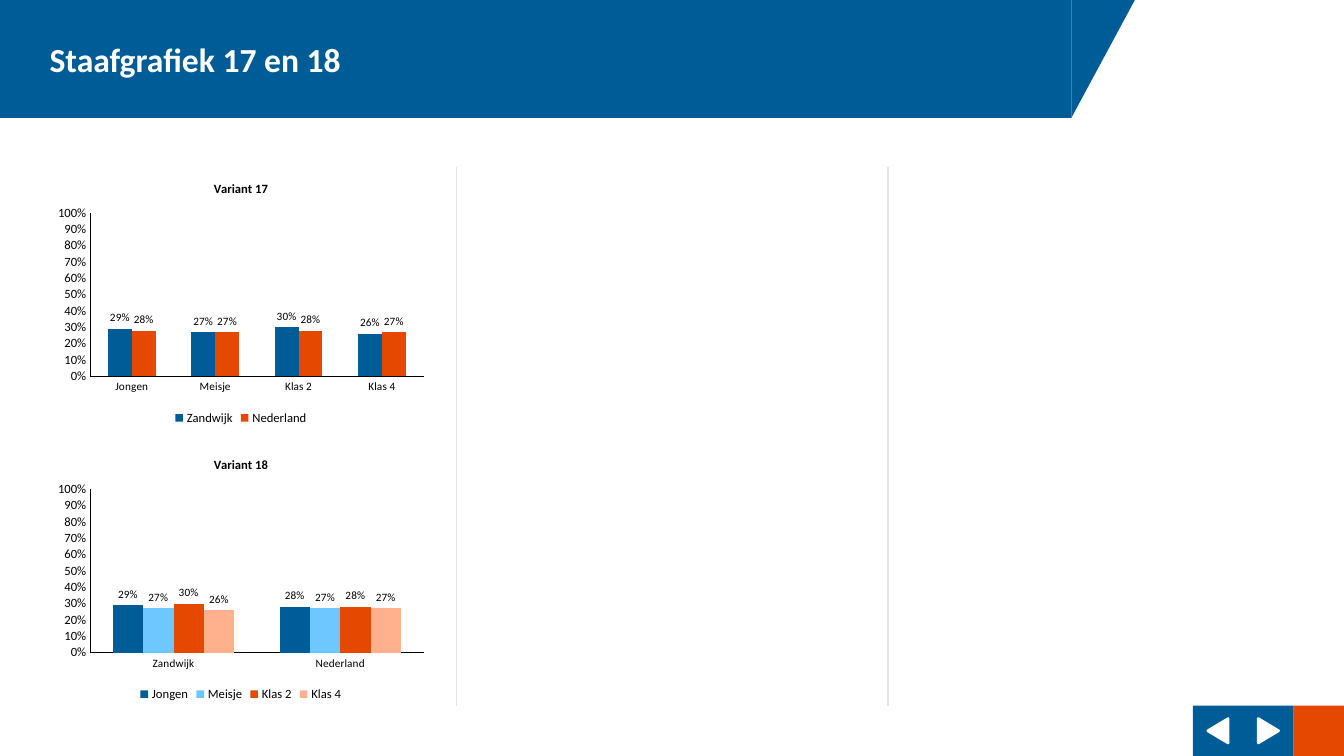
from dataclasses import dataclass

from lxml import etree
from pptx import Presentation
from pptx.chart.data import CategoryChartData
from pptx.dml.color import RGBColor
from pptx.enum.chart import XL_CHART_TYPE as ChartType
from pptx.enum.chart import XL_LABEL_POSITION as LabelPos
from pptx.enum.chart import XL_LEGEND_POSITION as LegendPos
from pptx.enum.chart import XL_TICK_MARK as TickMark
from pptx.enum.shapes import MSO_CONNECTOR as Connector
from pptx.enum.shapes import MSO_SHAPE as Shape
from pptx.enum.text import MSO_ANCHOR as Anchor
from pptx.enum.text import PP_ALIGN as Align
from pptx.oxml.ns import qn
from pptx.util import Cm, Pt

FONT = "Calibri"
BLUE, ORANGE = "005C96", "E54800"
LIGHT_BLUE, LIGHT_ORANGE = "6FC7FF", "FFB18E"
WHITE, BLACK, GREY = "FFFFFF", "000000", "E3E3E3"

# Page grid in cm
SLIDE_W, SLIDE_H = 33.87, 19.05
BODY_TOP, BODY_BOTTOM = 4.22, 17.78
HEADER_W, HEADER_H, SLANT_W = 27, 2.97, 1.6
CHART_LEFT, CHART_W, CHART_H = 1.27, 9.6, 6.6
BUTTON = 1.27
ARROW_W, ARROW_H = 0.61, 0.51


@dataclass
class Series:
    name: str
    values: list[float]
    color: str


@dataclass
class BarChart:
    title: str
    top: float
    categories: list[str]
    series: list[Series]


@dataclass
class Button:
    color: str
    arrow_rotation: int | None = None


CHARTS = [
    BarChart("Variant 17", BODY_TOP, ["Jongen", "Meisje", "Klas 2", "Klas 4"], [
        Series("Zandwijk", [0.29, 0.27, 0.30, 0.26], BLUE),
        Series("Nederland", [0.28, 0.27, 0.28, 0.27], ORANGE),
    ]),
    BarChart("Variant 18", BODY_BOTTOM - CHART_H, ["Zandwijk", "Nederland"], [
        Series("Jongen", [0.29, 0.28], BLUE),
        Series("Meisje", [0.27, 0.27], LIGHT_BLUE),
        Series("Klas 2", [0.30, 0.28], ORANGE),
        Series("Klas 4", [0.26, 0.27], LIGHT_ORANGE),
    ]),
]
BUTTONS = [Button(BLUE, 270), Button(BLUE, 90), Button(ORANGE)]
SEPARATORS = [22.38, 11.51]


def rgb(color: str) -> RGBColor:
    return RGBColor.from_string(color)


def set_font(font, size: float, color: str = BLACK, bold: bool = False) -> None:
    font.name, font.size, font.bold = FONT, Pt(size), bold
    font.color.rgb = rgb(color)


def add_block(slide, kind, left: float, top: float, width: float, height: float,
              color: str):
    sp = slide.shapes.add_shape(kind, Cm(left), Cm(top), Cm(width), Cm(height))
    sp.shadow.inherit = False
    sp.fill.solid()
    sp.fill.fore_color.rgb = rgb(color)
    sp.line.fill.background()
    return sp


def add_button(slide, button: Button, left: float) -> None:
    add_block(slide, Shape.RECTANGLE, left, BODY_BOTTOM, BUTTON, BUTTON, button.color)
    if button.arrow_rotation is None:
        return
    arrow = add_block(slide, Shape.ISOSCELES_TRIANGLE,
                      left + (BUTTON - ARROW_W) / 2,
                      BODY_BOTTOM + (BUTTON - ARROW_H) / 2,
                      ARROW_W, ARROW_H, WHITE)
    arrow.rotation = button.arrow_rotation
    arrow.line.color.rgb = rgb(WHITE)
    arrow.line.width = Pt(2)
    etree.SubElement(arrow.line._get_or_add_ln(), qn("a:round"))


def add_separator(slide, x: float) -> None:
    line = slide.shapes.add_connector(
        Connector.STRAIGHT, Cm(x), Cm(BODY_BOTTOM), Cm(x), Cm(BODY_TOP))
    line.line.color.rgb = rgb(GREY)
    line.line.width = Pt(1)
    etree.SubElement(line._element.spPr, qn("a:effectLst"))


def add_header(slide, title: str) -> None:
    slant = add_block(slide, Shape.RIGHT_TRIANGLE, HEADER_W, 0, SLANT_W, HEADER_H, BLUE)
    slant.rotation = 180
    slant._element.spPr.find(qn("a:xfrm")).set("flipH", "1")
    bar = add_block(slide, Shape.RECTANGLE, 0, 0, HEADER_W, HEADER_H, BLUE)
    tf = bar.text_frame
    tf.vertical_anchor = Anchor.MIDDLE
    tf.margin_left = Cm(1.25)
    tf.text = title
    p = tf.paragraphs[0]
    p.alignment = Align.LEFT
    set_font(p.runs[0].font, 24, WHITE, True)


def style_axis(axis, size: float) -> None:
    axis.has_major_gridlines = False
    axis.major_tick_mark = axis.minor_tick_mark = TickMark.NONE
    axis.format.line.color.rgb = rgb(BLACK)
    axis.format.line.width = Pt(1)
    set_font(axis.tick_labels.font, size)


def add_bar_chart(slide, spec: BarChart) -> None:
    data = CategoryChartData(number_format="0%")
    data.categories = spec.categories
    for series in spec.series:
        data.add_series(series.name, series.values)
    chart = slide.shapes.add_chart(
        ChartType.COLUMN_CLUSTERED, Cm(CHART_LEFT), Cm(spec.top),
        Cm(CHART_W), Cm(CHART_H), data).chart
    set_font(chart.font, 18)

    # Title and legend
    chart.has_title = True
    tf = chart.chart_title.text_frame
    tf.text = spec.title
    set_font(tf.paragraphs[0].runs[0].font, 9, bold=True)
    chart.has_legend = True
    chart.legend.position = LegendPos.BOTTOM
    chart.legend.include_in_layout = False
    set_font(chart.legend.font, 9)

    # Axes
    style_axis(chart.category_axis, 8)
    values = chart.value_axis
    style_axis(values, 9)
    values.minimum_scale, values.maximum_scale, values.major_unit = 0, 1, 0.1
    values.tick_labels.number_format = "0%"
    values.tick_labels.number_format_is_linked = False

    # Bars and their labels
    plot = chart.plots[0]
    plot.gap_width, plot.overlap, plot.vary_by_categories = 150, 0, False
    for bars, series in zip(plot.series, spec.series):
        bars.format.fill.solid()
        bars.format.fill.fore_color.rgb = rgb(series.color)
        labels = bars.data_labels
        labels.show_value = True
        labels.position = LabelPos.OUTSIDE_END
        labels.number_format = "0%"
        labels.number_format_is_linked = False
        set_font(labels.font, 8)


def main() -> None:
    prs = Presentation()
    prs.slide_width, prs.slide_height = Cm(SLIDE_W), Cm(SLIDE_H)
    s = prs.slides.add_slide(prs.slide_layouts[6])

    # Navigation buttons, flush with the right edge
    for i, button in enumerate(BUTTONS):
        add_button(s, button, SLIDE_W - (len(BUTTONS) - i) * BUTTON)

    # Column separators and header
    for x in SEPARATORS:
        add_separator(s, x)
    add_header(s, "Staafgrafiek 17 en 18")

    # Charts
    for spec in CHARTS:
        add_bar_chart(s, spec)

    prs.save("out.pptx")


if __name__ == "__main__":
    main()
